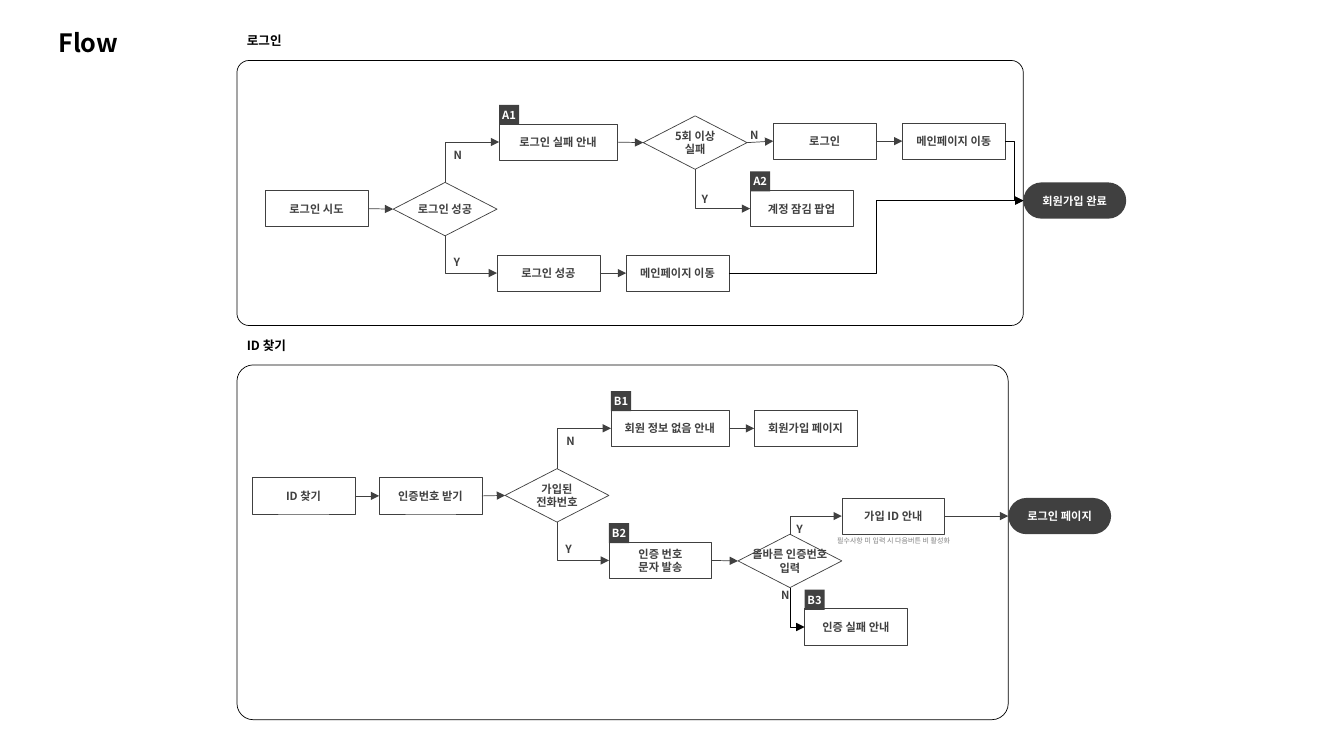
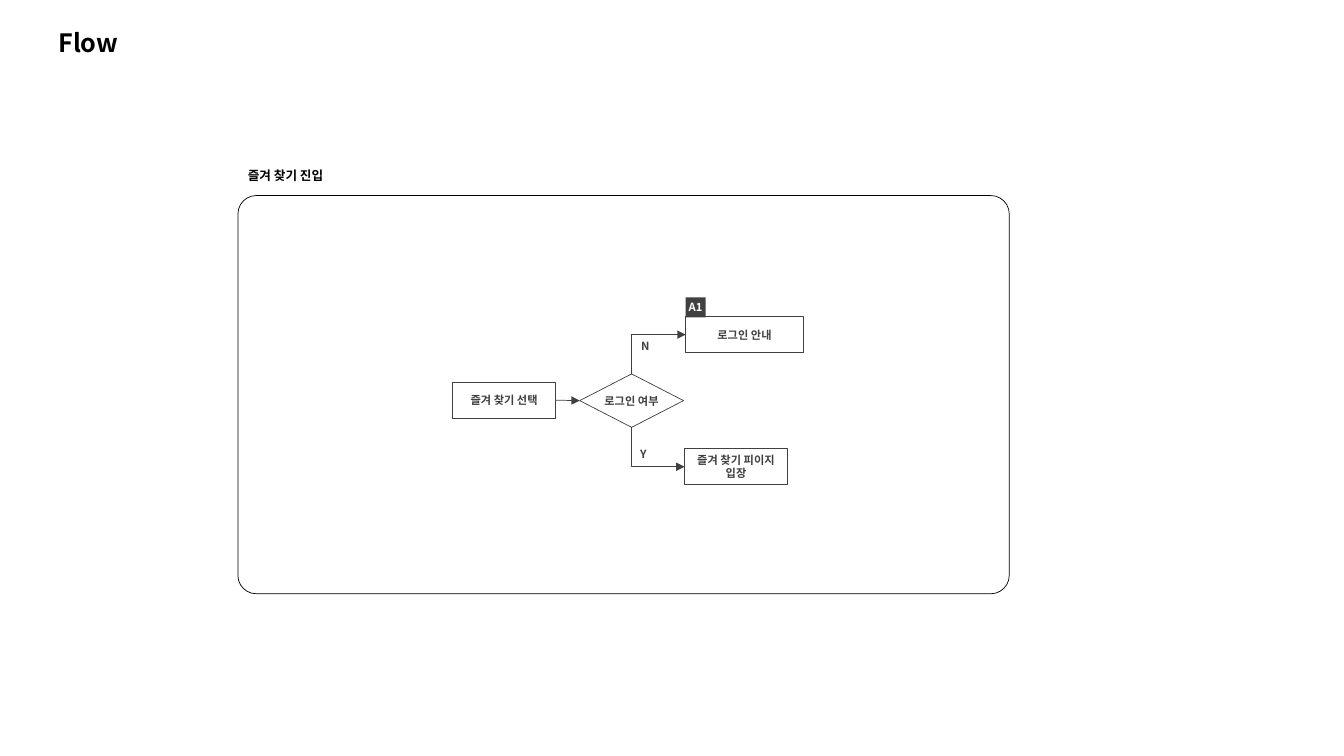
from lxml import etree
from pptx import Presentation
from pptx import util as u
from pptx.dml.color import RGBColor
from pptx.enum import shapes, text
from pptx.oxml.ns import qn

FONT = "Noto Sans CJK KR"
INK = {"black": "000000", "dark": "404040", "gray": "808080", "white": "FFFFFF"}
PRESET = shapes.MSO_SHAPE
CENTER, LEFT = text.PP_ALIGN.CENTER, text.PP_ALIGN.LEFT

# Look of each kind of part; a part without a preset is a text box
BOX = dict(preset=PRESET.RECTANGLE, size=(1.02, 0.36), fill="white", line="dark",
           ink="dark", points=8, bold=True, align=CENTER, inset=0, wrap=False)
SOLID = BOX | dict(fill="dark", line=None, ink="white", inset=None)
LABEL = dict(preset=None, size=(1.4, 0.23), fill=None, line=None, ink="black",
             points=9, bold=True, align=LEFT, inset=None, wrap=True)
STYLES = {
    "title": LABEL | dict(size=(8.51, 0.4), points=18, grow=True),
    "caption": LABEL,
    "answer": LABEL | dict(size=(0.22, 0.24), points=8, ink="dark", align=CENTER,
                           grow=True),
    "frame": BOX | dict(preset=PRESET.ROUNDED_RECTANGLE, line="black", corner=0.046),
    "step": BOX,
    "notice": BOX | dict(size=(1.17, 0.36)),
    "decision": BOX | dict(preset=PRESET.FLOWCHART_DECISION, size=(1.03, 0.53), opacity=70),
    "end": SOLID | dict(preset=PRESET.ROUNDED_RECTANGLE, corner=0.5),
    "badge": SOLID | dict(size=(0.2, 0.2)),
    "note": SOLID | dict(size=(0.53, 0.1), fill=None, ink="gray", points=5, bold=False),
}

# Each flow: caption, frame, nodes (kind, x, y, wording, badge),
# links (from, to, route, colour), answers (letter, x, y) and notes
LOGIN = dict(
    caption="로그인", frame=(2.35, 0.6, 7.8, 2.63),
    nodes={
        "try": ("step", 2.63, 1.89, "로그인 시도", None),
        "success?": ("decision", 3.9, 1.81, "로그인 성공", None),
        "failed": ("notice", 4.95, 1.23, "로그인 실패 안내", "A1"),
        "five?": ("decision", 6.38, 1.15, "5회 이상\n실패", None),
        "login": ("step", 7.67, 1.22, "로그인", None),
        "main_top": ("step", 8.95, 1.22, "메인페이지 이동", None),
        "locked": ("step", 7.44, 1.89, "계정 잠김 팝업", "A2"),
        "success": ("step", 4.93, 2.53, "로그인 성공", None),
        "main_low": ("step", 6.21, 2.53, "메인페이지 이동", None),
        "joined": ("end", 10.15, 1.81, "회원가입 완료", None),
    },
    links=[
        ("try", "success?", "straight", "dark"),
        ("success?", "failed", "up", "dark"),
        ("success?", "success", "down", "dark"),
        ("failed", "five?", "straight", "dark"),
        ("five?", "login", "straight", "dark"),
        ("five?", "locked", "down", "dark"),
        ("login", "main_top", "straight", "dark"),
        ("success", "main_low", "straight", "dark"),
        ("main_top", "joined", "bend", "black"),
        ("main_low", "joined", "bend", "black"),
    ],
    answers=[("N", 4.4, 1.42), ("Y", 4.4, 2.48), ("N", 7.34, 1.22), ("Y", 6.86, 1.86)],
    notes=[],
)
FIND_ID = dict(
    caption="ID 찾기", frame=(2.35, 3.62, 7.65, 3.52),
    nodes={
        "find": ("step", 2.5, 4.74, "ID 찾기", None),
        "code": ("step", 3.76, 4.74, "인증번호 받기", None),
        "phone?": ("decision", 5.01, 4.65, "가입된\n전화번호", None),
        "unknown": ("notice", 6.06, 4.07, "회원 정보 없음 안내", "B1"),
        "join": ("step", 7.48, 4.07, "회원가입 페이지", None),
        "sms": ("step", 6.04, 5.38, "인증 번호\n문자 발송", "B2"),
        "valid?": ("decision", 7.32, 5.3, "올바른 인증번호\n입력", None),
        "show_id": ("step", 8.35, 4.94, "가입 ID 안내", None),
        "invalid": ("step", 7.98, 6.04, "인증 실패 안내", "B3"),
        "login": ("end", 10, 4.94, "로그인 페이지", None),
    },
    links=[
        ("find", "code", "straight", "dark"),
        ("code", "phone?", "straight", "dark"),
        ("phone?", "unknown", "up", "dark"),
        ("phone?", "sms", "down", "dark"),
        ("unknown", "join", "straight", "dark"),
        ("sms", "valid?", "straight", "dark"),
        ("valid?", "show_id", "up", "dark"),
        ("valid?", "invalid", "down", "black"),
        ("show_id", "login", "straight", "dark"),
    ],
    answers=[("N", 5.52, 4.26), ("Y", 5.51, 5.33), ("Y", 7.8, 5.13), ("N", 7.65, 5.79)],
    notes=[("필수사항 미 입력 시 다음버튼 비 활성화", 8.6, 5.31)],
)
FAVORITES = dict(
    caption="즐겨 찾기 진입", frame=(2.36, 1.94, 7.65, 3.95),
    nodes={
        "choose": ("step", 4.49, 3.79, "즐겨 찾기 선택", None),
        "login?": ("decision", 5.75, 3.71, "로그인 여부", None),
        "login": ("notice", 6.8, 3.14, "로그인 안내", "A1"),
        "enter": ("step", 6.79, 4.45, "즐겨 찾기 피이지\n입장", None),
    },
    links=[
        ("choose", "login?", "straight", "dark"),
        ("login?", "login", "up", "dark"),
        ("login?", "enter", "down", "dark"),
    ],
    answers=[("N", 6.26, 3.32), ("Y", 6.25, 4.39)],
    notes=[],
)


def add_part(slide, kind, x, y, wording="", size=None):
    look = STYLES[kind]
    place = [u.Inches(v) for v in (x, y, *(size or look["size"]))]
    if look["preset"] is None:
        part = slide.shapes.add_textbox(*place)
    else:
        part = slide.shapes.add_shape(look["preset"], *place)
        part.shadow.inherit = False
        if "corner" in look:
            part.adjustments[0] = look["corner"]
        for paint, colour in ((part.fill, look["fill"]), (part.line.fill, look["line"])):
            if colour:
                paint.solid()
                paint.fore_color.rgb = RGBColor.from_string(INK[colour])
            else:
                paint.background()
        if look["line"]:
            part.line.width = u.Pt(0.5)
        if "opacity" in look:
            fill_colour = part.fill._xPr.find(qn("a:solidFill"))[0]
            etree.SubElement(fill_colour, qn("a:alpha"), val=str(look["opacity"] * 1000))
    if not wording:
        return part

    frame = part.text_frame
    frame.text = wording
    frame.word_wrap = look["wrap"]
    if look.get("grow"):
        frame.auto_size = text.MSO_AUTO_SIZE.SHAPE_TO_FIT_TEXT
    if look["preset"] is not None:
        frame.vertical_anchor = text.MSO_ANCHOR.MIDDLE
    if look["inset"] is not None:
        for side in ("left", "top", "right", "bottom"):
            setattr(frame, f"margin_{side}", u.Inches(look["inset"]))
    for paragraph in frame.paragraphs:
        paragraph.alignment = look["align"]
        for run in paragraph.runs:
            for name, value in dict(name=FONT, size=u.Pt(look["points"]),
                                    bold=look["bold"]).items():
                setattr(run.font, name, value)
            run.font.color.rgb = RGBColor.from_string(INK[look["ink"]])
            etree.SubElement(run._r.get_or_add_rPr(), qn("a:ea"), typeface=FONT)
    return part


def add_link(slide, source, target, route, colour):
    end_x, end_y = target.left, target.top + target.height // 2
    if route in ("up", "down"):
        # One corner: a quarter-turned box with width and height swapped
        start_x = source.left + source.width // 2
        start_y = source.top + (source.height if route == "down" else 0)
        run, rise = end_x - start_x, abs(end_y - start_y)
        left = (start_x + end_x - rise) // 2
        top = (start_y + end_y - run) // 2
        link = slide.shapes.add_connector(shapes.MSO_CONNECTOR.ELBOW,
                                          left, top, left + rise, top + run)
        link._element.spPr.find(qn("a:prstGeom")).set("prst", "bentConnector2")
        turn = {"rot": "16200000"} if route == "down" else {"rot": "5400000", "flipV": "1"}
        for name, value in (turn | {"flipH": "1"}).items():
            link._element.spPr.find(qn("a:xfrm")).set(name, value)
    else:
        shape_of_link = "STRAIGHT" if route == "straight" else "ELBOW"
        link = slide.shapes.add_connector(
            shapes.MSO_CONNECTOR[shape_of_link], source.left + source.width,
            source.top + source.height // 2, end_x, end_y)
        if route == "straight":
            link.begin_connect(source, 3)
            link.end_connect(target, 1)
    link.line.color.rgb = RGBColor.from_string(INK[colour])
    link.line.width = u.Pt(0.5)
    etree.SubElement(link.line._get_or_add_ln(), qn("a:tailEnd"), type="triangle")
    etree.SubElement(link._element.spPr, qn("a:effectLst"))


deck = Presentation()
deck.slide_width, deck.slide_height = u.Inches(13.33), u.Inches(7.5)

for flows in ([FIND_ID, LOGIN], [FAVORITES]):
    slide = deck.slides.add_slide(deck.slide_layouts[6])
    add_part(slide, "title", 0.48, 0.22, "Flow")
    for flow in flows:
        # Frame with its caption just above
        x, y, *size = flow["frame"]
        add_part(slide, "frame", x, y, size=size)
        add_part(slide, "caption", x, y - 0.32, flow["caption"])

        # Nodes, each with an optional badge on its top left corner
        nodes = {}
        for key, (kind, x, y, wording, badge) in flow["nodes"].items():
            nodes[key] = add_part(slide, kind, x, y, wording)
            if badge:
                add_part(slide, "badge", x, y - 0.19, badge)

        # Arrows, then the words beside them
        for source, target, route, colour in flow["links"]:
            add_link(slide, nodes[source], nodes[target], route, colour)
        for kind in ("answer", "note"):
            for wording, x, y in flow[kind + "s"]:
                add_part(slide, kind, x, y, wording)

deck.save("out.pptx")
